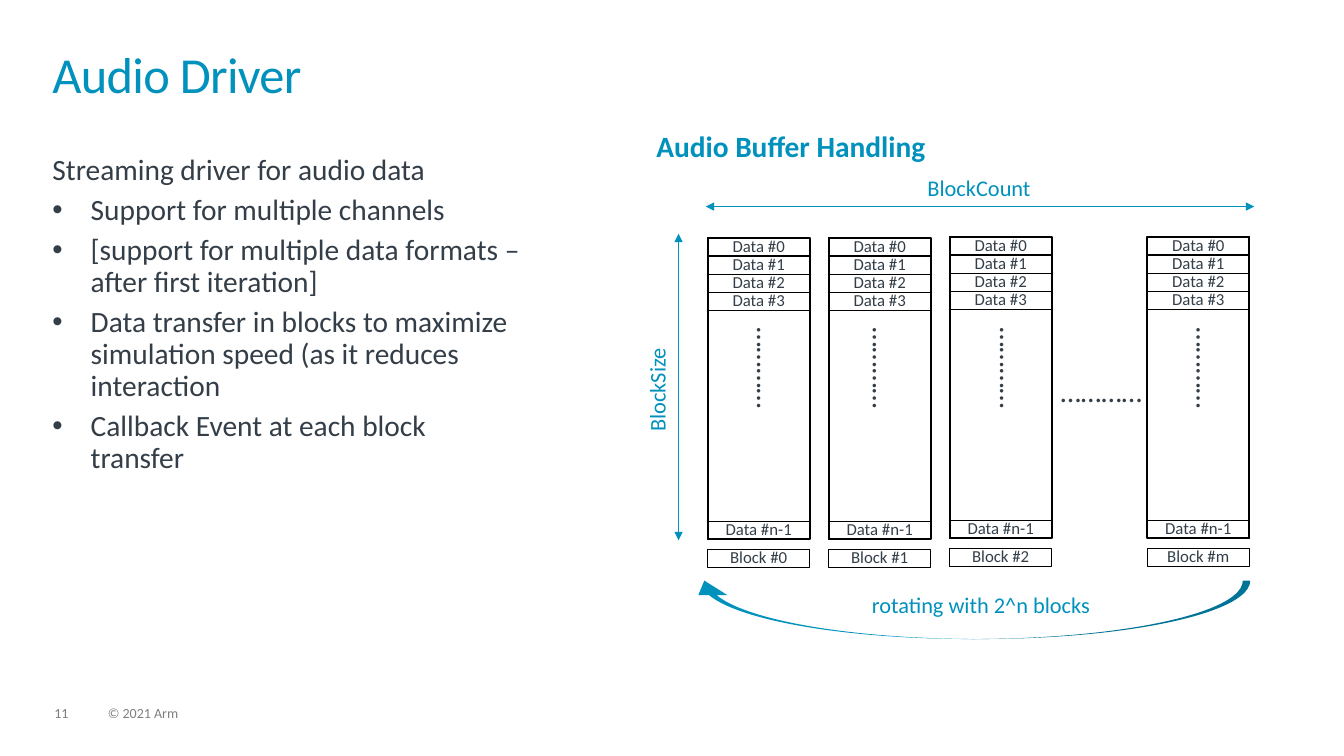
"""Builds the Audio Driver slide with its audio buffer diagram."""
from lxml import etree
from pptx import Presentation
from pptx.dml.color import RGBColor
from pptx.enum import shapes, text
from pptx.oxml import ns
from pptx.util import Inches, Pt

COLORS = {"accent": "0091BD", "ink": "333E48", "line": "000000", "muted": "7F7F7F"}
FONT = "Calibri"
DOTS = "…………"

BULLETS = [
    "Support for multiple channels",
    "[support for multiple data formats – after first iteration]",
    "Data transfer in blocks to maximize simulation speed (as it reduces interaction",
    "Callback Event at each block transfer",
]
BLOCKS = [
    ("Block #0", 7.02, 2.36, 7.44),
    ("Block #1", 8.22, 2.36, 8.59),
    ("Block #2", 9.42, 2.35, 9.85),
    ("Block #m", 11.38, 2.35, 11.8),
]
ROWS = ["Data #0", "Data #1", "Data #2", "Data #3"]
LABELS = [
    ("11", (0.54, 7.01, 0.34, 0.15), dict(size=10, color="muted")),
    ("© 2021 Arm", (1.07, 7.01, 5.07, 0.15), dict(size=10, color="muted")),
    ("BlockCount", (8.37, 1.76, 2.68, 0.24), dict(size=16, color="accent", center=True)),
    ("BlockSize", (5.19, 3.75, 2.68, 0.24),
     dict(size=16, color="accent", center=True, rotation=270)),
    ("rotating with 2^n blocks", (8.25, 5.89, 2.96, 0.24),
     dict(size=16, color="accent", center=True)),
    ("Audio Buffer Handling", (6.51, 1.31, 3.33, 0.32),
     dict(size=21, color="accent", bold=True)),
    (DOTS, (10.94, 3.32, 0.32, 1.16), dict(rotation=270, vertical=True)),
]
ARROWS = [(7, 2.05, 12.44, 2.05), (6.73, 5.36, 6.73, 2.32)]
CELL_WIDTH, CELL_HEIGHT, BLOCK_HEIGHT = 1.01, 0.18, 2.99
LAST_ROW, BLOCK_LABEL = 2.81, 3.09


def rgb(name):
    return RGBColor.from_string(COLORS[name])


def write(box, *lines, size=21, color="ink", bold=False, center=False, bullets_from=None,
          spacing=0.9, after=6, vertical=False, rotation=0, tracking=None):
    """Fill a shape with formatted paragraphs."""
    box.rotation = rotation
    frame = box.text_frame
    frame.word_wrap = True
    frame.auto_size = text.MSO_AUTO_SIZE.NONE
    frame.vertical_anchor = text.MSO_ANCHOR.TOP
    frame.margin_left = frame.margin_right = frame.margin_top = frame.margin_bottom = 0
    if vertical:
        frame._txBody.bodyPr.set("vert", "eaVert")
    for index, line in enumerate(lines):
        para = frame.add_paragraph() if index else frame.paragraphs[0]
        para.alignment = text.PP_ALIGN.CENTER if center else text.PP_ALIGN.LEFT
        para.line_spacing = spacing
        para.space_before, para.space_after = Pt(0), Pt(after)
        if bullets_from is not None and index >= bullets_from:
            props = para._p.get_or_add_pPr()
            props.set("marL", str(Inches(0.38)))
            props.set("indent", str(-Inches(0.38)))
            etree.SubElement(props, ns.qn("a:buFont"), typeface="Arial")
            etree.SubElement(props, ns.qn("a:buChar"), char="•")
        span = para.add_run()
        span.text = line
        span.font.name, span.font.size, span.font.bold = FONT, Pt(size), bold
        span.font.color.rgb = rgb(color)
        if tracking is not None:
            span._r.get_or_add_rPr().set("spc", str(int(tracking * 100)))


def add_text(page, place, *lines, **style):
    write(page.shapes.add_textbox(*map(Inches, place)), *lines, **style)


def add_box(page, place, width):
    box = page.shapes.add_shape(shapes.MSO_SHAPE.RECTANGLE, *map(Inches, place))
    box.shadow.inherit = False
    box.fill.background()
    box.line.color.rgb = rgb("line")
    box.line.width = Pt(width)
    return box


def add_block(page, name, left, top, dots_left):
    add_box(page, (left, top, CELL_WIDTH, BLOCK_HEIGHT), 1.5)
    cells = [(row, index * CELL_HEIGHT) for index, row in enumerate(ROWS)]
    cells += [("Data #n-1", LAST_ROW), (name, BLOCK_LABEL)]
    for label, offset in cells:
        cell = add_box(page, (left, top + offset, CELL_WIDTH, CELL_HEIGHT), 0.75)
        write(cell, label, size=12, center=True)
    add_text(page, (dots_left, 3.25, 0.32, 1.75), DOTS, vertical=True)


def add_arrow(page, ends):
    arrow = page.shapes.add_connector(shapes.MSO_CONNECTOR.STRAIGHT, *map(Inches, ends))
    arrow.line.color.rgb = rgb("accent")
    arrow.line.width = Pt(1)
    line = arrow.line._get_or_add_ln()
    for tag in ("a:headEnd", "a:tailEnd"):
        etree.SubElement(line, ns.qn(tag), type="triangle")
    etree.SubElement(arrow._element.spPr, ns.qn("a:effectLst"))


def add_rotation_arrow(page):
    arrow = page.shapes.add_shape(shapes.MSO_SHAPE.CURVED_LEFT_ARROW,
                                  *map(Inches, (9.33, 3.27, 0.58, 5.56)))
    arrow.rotation = 90
    for index, value in enumerate((0.128, 0.5, 0.25)):
        arrow.adjustments[index] = value
    arrow.shadow.inherit = False
    arrow.fill.solid()
    arrow.fill.fore_color.rgb = rgb("accent")
    arrow.line.fill.background()


def main():
    deck = Presentation()
    deck.slide_width, deck.slide_height = Inches(13.33), Inches(7.5)
    page = deck.slides.add_slide(deck.slide_layouts[5])
    title = page.shapes.title
    title.left, title.top, title.width, title.height = map(Inches, (0.52, 0.52, 12.28, 0.56))
    write(title, "Audio Driver", size=36, color="accent", spacing=0.85, after=0, tracking=-0.5)
    for block in BLOCKS:
        add_block(page, *block)
    for ends in ARROWS:
        add_arrow(page, ends)
    add_rotation_arrow(page)
    for label, place, style in LABELS:
        add_text(page, place, label, **style)
    add_text(page, (0.52, 1.54, 4.65, 3.2), "Streaming driver for audio data", *BULLETS,
             bullets_from=1)
    deck.save("out.pptx")


if __name__ == "__main__":
    main()
